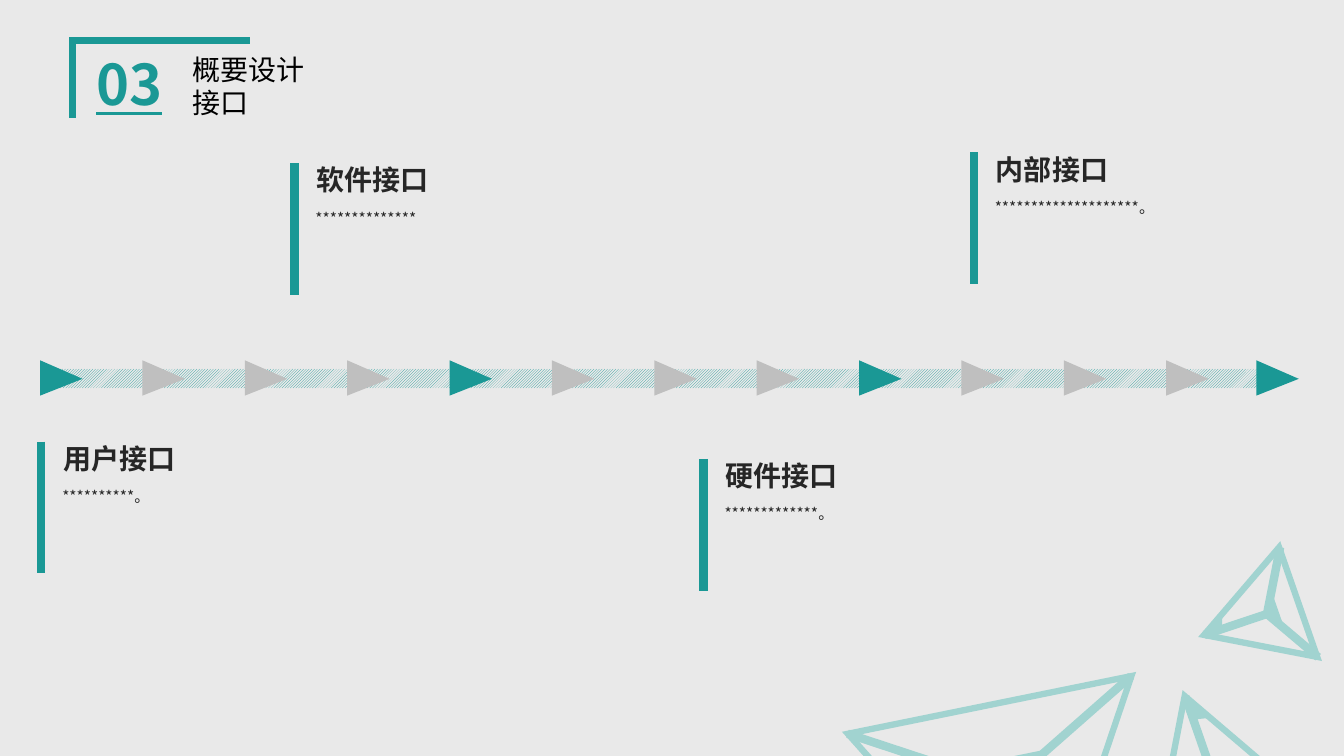
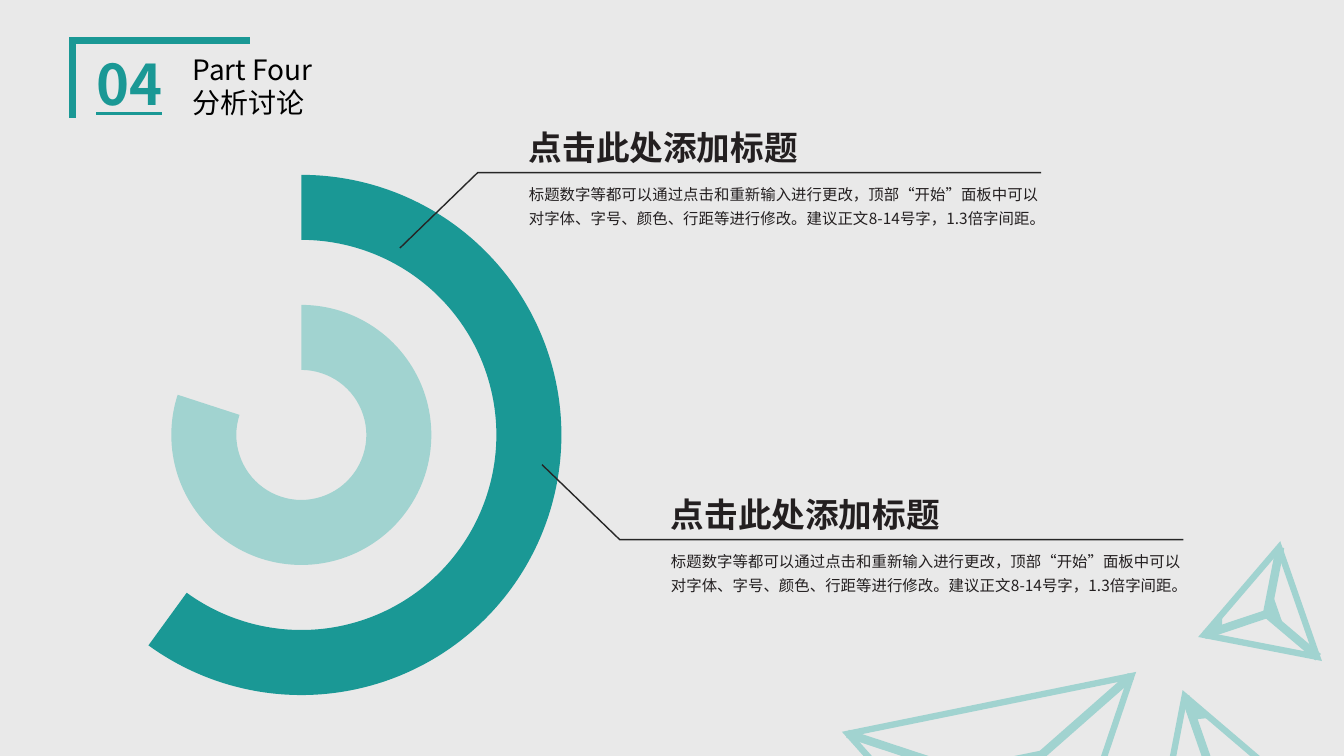
from lxml.etree import SubElement
from pptx import Presentation
from pptx.chart.data import CategoryChartData
from pptx.dml.color import RGBColor
from pptx.enum.chart import XL_CHART_TYPE
from pptx.enum.dml import MSO_PATTERN
from pptx.enum.shapes import MSO_CONNECTOR, MSO_SHAPE
from pptx.enum.text import MSO_ANCHOR, MSO_AUTO_SIZE, PP_ALIGN
from pptx.oxml import parse_xml
from pptx.oxml.ns import nsdecls, qn
from pptx.util import Cm, Pt

FONT = "Noto Sans CJK SC"
COLORS = {
    "background": "E9E9E9",
    "teal": "1A9895",
    "pale": "A1D3D0",
    "grey": "BFBFBF",
    "black": "000000",
    "dark": "262626",
    "ink": "231F20",
}

# Crystals in the corner: left, top, width, height, rotation
CRYSTALS = [
    (28.52, 17.45, 3.73, 3.2, 340.7),
    (21.92, 17.7, 7.29, 6.27, 168.5),
    (30.07, 14.33, 2.92, 2.51, 250.8),
]
CRYSTAL_EDGES = [
    ((29.87, 17.55), (30.56, 19.53)),
    ((28.5, 17.04), (25.35, 19.81)),
    ((21.36, 18.49), (25.37, 19.81)),
    ((30.35, 16), (31.93, 15.47)),
    ((33.22, 16.56), (31.93, 15.47)),
    ((32.26, 13.79), (31.93, 15.47)),
]
CRYSTAL_HUBS = [
    (24.33, 19.13, 1.9, 0.58, 168.5),
    (31.7, 15.29, 0.76, 0.23, 250.8),
]
CRYSTAL_TIPS = [
    [(30.12, 18.11), (30.43, 18.08), (30, 17.73)],
    [(30.78, 15.8), (30.78, 15.57), (30.51, 15.9)],
]

INTERFACES = [
    ("用户接口", "**********。", 1.04, 11.13),
    ("软件接口", "**************", 7.42, 4.11),
    ("硬件接口", "*************。", 17.73, 11.56),
    ("内部接口", "********************。", 24.54, 3.84),
]

ADVICE = (
    "标题数字等都可以通过点击和重新输入进行更改，顶部“开始”面板中可以"
    "对字体、字号、颜色、行距等进行修改。建议正文8-14号字，1.3倍字间距。"
)
# Left and top of the heading, and where its leader starts below that top
CALLOUTS = [(13.08, 3.07, 3.18), (16.66, 12.32, -0.61)]

# Values and ring colour, from the inside out
RINGS = [((80, 20), "pale"), ((50, 50), None), ((60, 40), "teal")]


def rgb(color):
    return RGBColor.from_string(COLORS[color])


class Deck:
    def __init__(self):
        self.prs = Presentation()
        self.prs.slide_width, self.prs.slide_height = Cm(33.87), Cm(19.05)
        background = self.prs.slide_master.background.fill
        background.solid()
        background.fore_color.rgb = rgb("background")
        self.layout = self.prs.slide_layouts[5]
        title, *footers = self.layout.placeholders
        for footer in footers:
            self.layout.shapes.element.remove(footer.element)
        title.left, title.top = Cm(4.6), Cm(1.19)
        title.width, title.height = Cm(6.1), Cm(1.96)
        self.slide = None

    def section(self, number, title):
        self.slide = self.prs.slides.add_slide(self.layout)
        if len(self.prs.slides) == 1:
            self.decorate_layout()
        frame = self.slide.shapes.title.text_frame
        frame.text = title
        frame.auto_size = MSO_AUTO_SIZE.NONE
        frame.vertical_anchor = MSO_ANCHOR.TOP
        for paragraph in frame.paragraphs:
            paragraph.alignment = PP_ALIGN.LEFT
            self.set_font(paragraph, 20, "black")
        heading = self.text(number, 2.18, 1.12, 2.41, 1.96, 40, "teal", bold=True)
        heading.font.underline = True

    def decorate_layout(self):
        """Draw the bracket and the crystals, then move them to the layout."""
        parts = [self.polygon([(1.83, 2.97), (1.83, 1.02), (6.3, 1.02)],
                              line="teal", weight=4.5, close=False)]
        for *box, rotation in CRYSTALS:
            parts.append(self.shape(MSO_SHAPE.ISOSCELES_TRIANGLE, *box, "background",
                                    rotation, line="pale", weight=4.5))
        for start, end in CRYSTAL_EDGES:
            parts.append(self.line(start, end, "pale", 6))
        for *box, rotation in CRYSTAL_HUBS:
            parts.append(self.shape(MSO_SHAPE.ISOSCELES_TRIANGLE, *box, "pale",
                                    rotation, line="pale"))
        for corners in CRYSTAL_TIPS:
            parts.append(self.polygon(corners, fill="pale", line="pale"))
        for part in parts:
            self.layout.shapes.element.append(part.element)

    def set_font(self, paragraph, size, color, bold=False):
        font = paragraph.font
        font.name, font.size, font.bold = FONT, Pt(size), bold
        font.color.rgb = rgb(color)
        east_asian = SubElement(paragraph._p.pPr.find(qn("a:defRPr")), qn("a:ea"))
        east_asian.set("typeface", FONT)

    def text(self, words, left, top, width, height, size, color, bold=False, spacing=None):
        box = self.slide.shapes.add_textbox(Cm(left), Cm(top), Cm(width), Cm(height))
        frame = box.text_frame
        frame.word_wrap = True
        frame.auto_size = MSO_AUTO_SIZE.SHAPE_TO_FIT_TEXT
        frame.text = words
        paragraph = frame.paragraphs[0]
        paragraph.line_spacing = spacing
        self.set_font(paragraph, size, color, bold)
        return paragraph

    def paint(self, shape, fill, line, weight):
        shape.shadow.inherit = False
        if fill:
            shape.fill.solid()
            shape.fill.fore_color.rgb = rgb(fill)
        else:
            shape.fill.background()
        if line:
            shape.line.color.rgb = rgb(line)
            shape.line.width = Pt(weight)
            outline = shape.element.spPr.find(qn("a:ln"))
            SubElement(outline, qn("a:miter")).set("lim", "800000")
        else:
            shape.line.fill.background()

    def shape(self, kind, left, top, width, height, fill, rotation=0, line=None, weight=1):
        shape = self.slide.shapes.add_shape(kind, Cm(left), Cm(top), Cm(width), Cm(height))
        shape.rotation = rotation
        self.paint(shape, fill, line, weight)
        return shape

    def polygon(self, points, fill=None, line=None, weight=1, close=True):
        start, *rest = [(Cm(x), Cm(y)) for x, y in points]
        builder = self.slide.shapes.build_freeform(*start)
        builder.add_line_segments(rest, close=close)
        shape = builder.convert_to_shape()
        self.paint(shape, fill, line, weight)
        return shape

    def line(self, start, end, color, weight):
        line = self.slide.shapes.add_connector(
            MSO_CONNECTOR.STRAIGHT, *[Cm(value) for value in (*start, *end)])
        line.line.color.rgb = rgb(color)
        line.line.width = Pt(weight)
        SubElement(line.element.spPr, qn("a:effectLst"))
        return line

    def timeline(self):
        band = self.shape(MSO_SHAPE.RECTANGLE, 1.04, 9.3, 31.06, 0.48, "teal")
        band.fill.patterned()
        band.fill.pattern = MSO_PATTERN.LIGHT_UPWARD_DIAGONAL
        band.fill.fore_color.rgb = rgb("teal")
        band.fill.back_color.rgb = rgb("background")
        lefts = [1.1 + 2.58 * step for step in range(12)] + [31.75]
        for step, left in enumerate(lefts):
            color = "grey" if step % 4 else "teal"
            arrow = self.shape(MSO_SHAPE.ISOSCELES_TRIANGLE, left, 8.99, 0.89, 1.07, color, 90)
            arrow.adjustments[0] = 0.525

    def interface(self, heading, detail, left, top):
        self.line((left, top), (left, top + 3.32), "teal", 6)
        self.text(heading, left + 0.31, top - 0.13, 6.68, 1.12, 20, "dark", bold=True)
        self.text(detail, left + 0.28, top + 0.89, 7.26, 0.86, 11, "dark", spacing=1.3)

    def callout(self, heading, detail, left, top, leader_start):
        rule = top + 1.28
        self.polygon([(left - 3, top + leader_start), (left - 1.04, rule),
                      (left + 13.16, rule)], line="dark", close=False)
        self.text(heading, left, top, 8.03, 1.27, 24, "ink", bold=True)
        self.text(detail, left, top + 1.32, 13.59, 1.47, 11, "ink", spacing=1.3)

    def rings(self, rings, left, top, width, height):
        data = CategoryChartData()
        data.categories = ["1", "2"]
        for number, (values, _) in enumerate(rings, 1):
            data.add_series(f"Series {number}", values)
        chart = self.slide.shapes.add_chart(
            XL_CHART_TYPE.DOUGHNUT, Cm(left), Cm(top), Cm(width), Cm(height), data).chart
        chart.has_legend = chart.has_title = False
        chart.font.name, chart.font.size = FONT, Pt(10)
        chart.font.color.rgb = rgb("black")
        plot = chart.plots[0]
        plot.vary_by_categories = True
        for series, (_, color) in zip(plot.series, rings):
            for index, point_color in enumerate((color, None)):
                look = series.points[index].format
                look.line.fill.background()
                if point_color:
                    look.fill.solid()
                    look.fill.fore_color.rgb = rgb(point_color)
                else:
                    look.fill.background()
        for hole in chart.element.xpath(".//c:holeSize"):
            hole.set("val", "79")
        area = chart.element.xpath("c:chart/c:plotArea")[0]
        for layout in area.findall(qn("c:layout")):
            area.remove(layout)
        area.insert(0, parse_xml(
            f'<c:layout {nsdecls("c")}><c:manualLayout><c:layoutTarget val="inner"/>'
            '<c:xMode val="edge"/><c:yMode val="edge"/><c:x val="0"/><c:y val="0.047"/>'
            '<c:w val="1"/><c:h val="0.957"/></c:manualLayout></c:layout>'))


def main():
    deck = Deck()

    deck.section("03", "概要设计\n接口")
    deck.timeline()
    for interface in INTERFACES:
        deck.interface(*interface)

    deck.section("04", "Part Four\n分析讨论")
    deck.rings(RINGS, 1.04, 3.53, 13.11, 14.25)
    for callout in CALLOUTS:
        deck.callout("点击此处添加标题", ADVICE, *callout)

    deck.prs.save("out.pptx")


if __name__ == "__main__":
    main()
